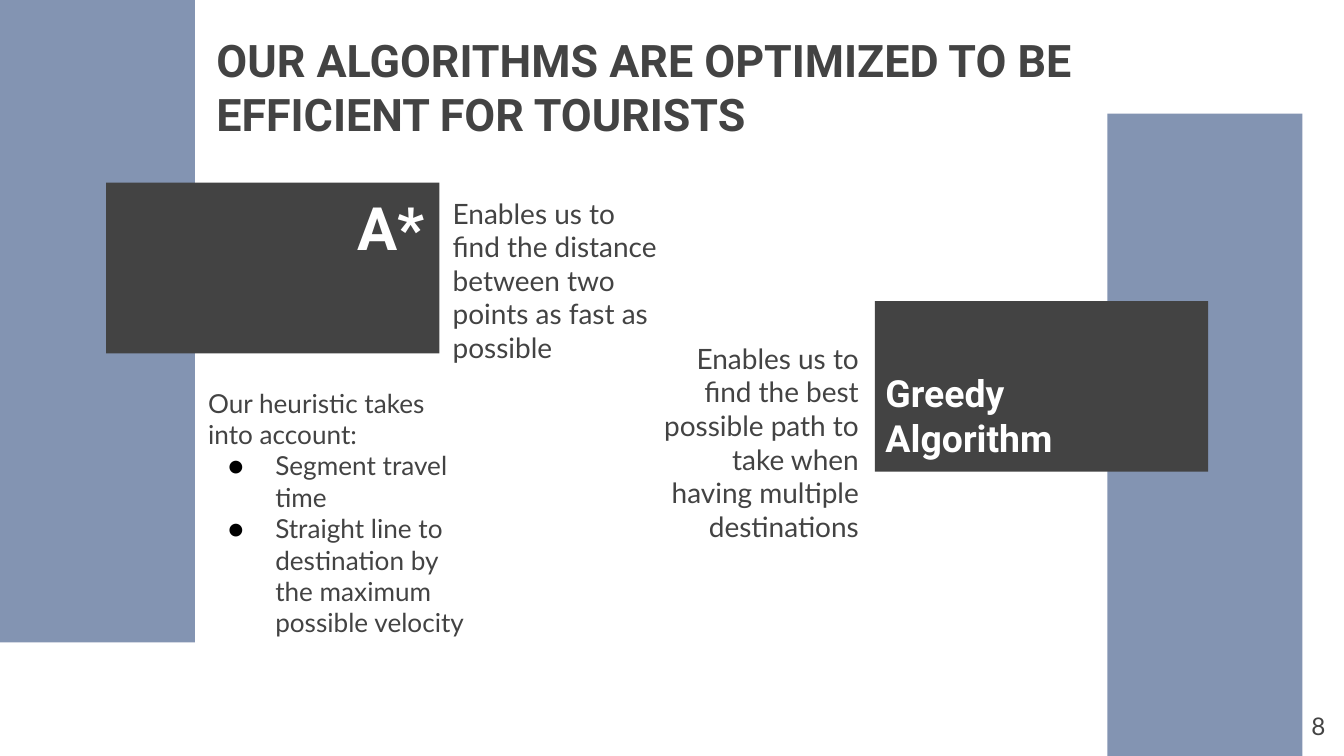
import pptx
import pptx.util
import pptx.dml.color
import pptx.enum.shapes
import pptx.enum.text
import pptx.oxml
import pptx.oxml.ns

Inches = pptx.util.Inches
ALIGN = pptx.enum.text.PP_ALIGN
ANCHOR = pptx.enum.text.MSO_ANCHOR

THEME = {
    "blue": "556D96", "dark": "434343", "white": "FFFFFF", "dot": "000000",
    "head": "Roboto", "body": "Lato",
    "title": 24, "star": 32, "name": 20, "text": 15, "list": 14, "page": 13,
    "alpha": 73, "inset": 0.1,
}

WIDE = 10
HIGH = WIDE * 9 / 16
TITLE = "OUR ALGORITHMS ARE OPTIMIZED TO BE EFFICIENT FOR TOURISTS"
BAR, CARD, NOTE = (1.45, 4.78), (2.48, 1.27), (1.78, 1.22)
BARS = [(8.24, HIGH - BAR[1]), (0, 0)]
CARDS = [(6.51, 2.24), (0.79, 1.36)]
NAMES = [
    ("Greedy Algorithm", (6.49, 3.1, 1.57, 0.42), "name"),
    ("A*", (2.56, 1.63, 1.01, 0.42), "star"),
]
NOTES = [
    ("Enables us to find the distance between two points as fast as possible",
     (3.27, 1.36), ALIGN.LEFT),
    ("Enables us to find the best possible path to take when having multiple "
     "destinations", (4.71, 2.44), ALIGN.RIGHT),
]
INTRO = "Our heuristic takes into account:"
POINTS = [
    "Segment travel time",
    "Straight line to destination by the maximum possible velocity",
]
PAGE = "8"


def color(key):
    return pptx.dml.color.RGBColor.from_string(THEME[key])


def add_rect(slide, spot, size, fill, alpha=None):
    rect = slide.shapes.add_shape(pptx.enum.shapes.MSO_SHAPE.RECTANGLE,
                                  *map(Inches, spot + size))
    rect.shadow.inherit = False
    rect.line.fill.background()
    rect.fill.solid()
    rect.fill.fore_color.rgb = color(fill)
    if alpha:
        tone = rect.fill._xPr.find(".//" + pptx.oxml.ns.qn("a:srgbClr"))
        tone.append(pptx.oxml.parse_xml(
            f'<a:alpha {pptx.oxml.ns.nsdecls("a")} val="{alpha * 1000}"/>'))


def add_bullet(para):
    props = para._p.get_or_add_pPr()
    props.set("marL", str(Inches(0.5)))
    props.set("indent", str(-Inches(0.35)))
    space = pptx.oxml.ns.nsdecls("a")
    for xml in (f'<a:buClr {space}><a:srgbClr val="{THEME["dot"]}"/></a:buClr>',
                f'<a:buFont {space} typeface="{THEME["body"]}"/>',
                f'<a:buChar {space} char="●"/>'):
        props.append(pptx.oxml.parse_xml(xml))


def put_text(slide, text, box, size, face="body", ink="dark", bold=False,
             align=ALIGN.LEFT, anchor=ANCHOR.TOP, points=(), shape=None):
    """Fill a new text box, or the given shape, with text and bullet points."""
    shape = shape or slide.shapes.add_textbox(0, 0, 0, 0)
    shape.left, shape.top, shape.width, shape.height = map(Inches, box)
    frame = shape.text_frame
    frame.word_wrap = True
    frame.auto_size = pptx.enum.text.MSO_AUTO_SIZE.NONE
    frame.vertical_anchor = anchor
    frame.margin_left = frame.margin_right = Inches(THEME["inset"])
    frame.margin_top = frame.margin_bottom = Inches(THEME["inset"])
    for i, line in enumerate([text, *points]):
        para = frame.add_paragraph() if i else frame.paragraphs[0]
        para.alignment = align
        if i:
            add_bullet(para)
        run = para.add_run()
        run.text = line
        font = run.font
        font.name, font.size = THEME[face], pptx.util.Pt(THEME[size])
        font.bold, font.color.rgb = bold, color(ink)


def main():
    deck = pptx.Presentation()
    deck.slide_width, deck.slide_height = Inches(WIDE), Inches(HIGH)
    slide = deck.slides.add_slide(deck.slide_layouts[5])

    for spot in BARS:
        add_rect(slide, spot, BAR, "blue", alpha=THEME["alpha"])
    for spot in CARDS:
        add_rect(slide, spot, CARD, "dark")

    put_text(slide, TITLE, (1.51, 0.26, 7.52, 0.77), "title", face="head",
             bold=True, anchor=ANCHOR.MIDDLE, shape=slide.shapes.title)
    for text, spot, align in NOTES:
        put_text(slide, text, spot + NOTE, "text", align=align)
    for text, box, size in NAMES:
        put_text(slide, text, box, size, face="head", ink="white", bold=True,
                 anchor=ANCHOR.BOTTOM)
    put_text(slide, INTRO, (1.45, 2.78, 2.16, 1.6), "list", points=POINTS)
    put_text(slide, PAGE, (9.36, 5.19, 0.6, 0.43), "page", align=ALIGN.RIGHT)

    deck.save("out.pptx")


if __name__ == "__main__":
    main()
